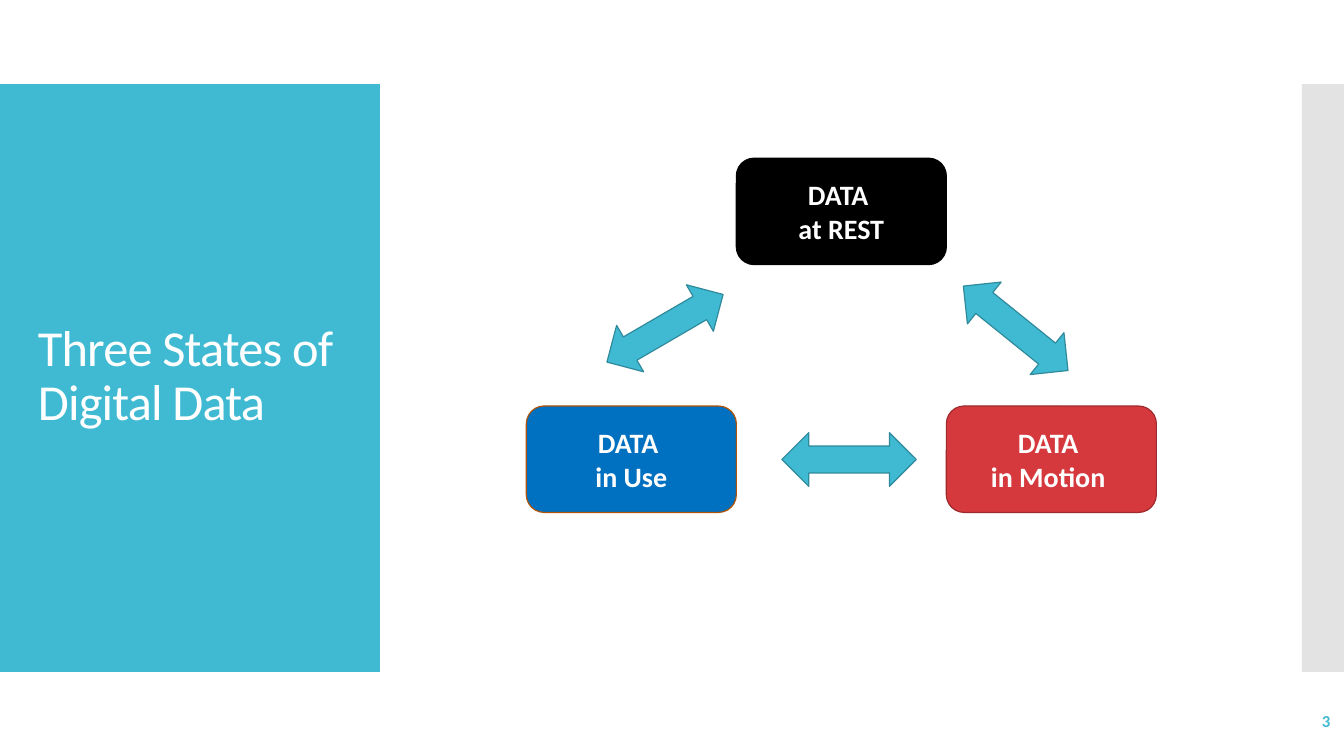
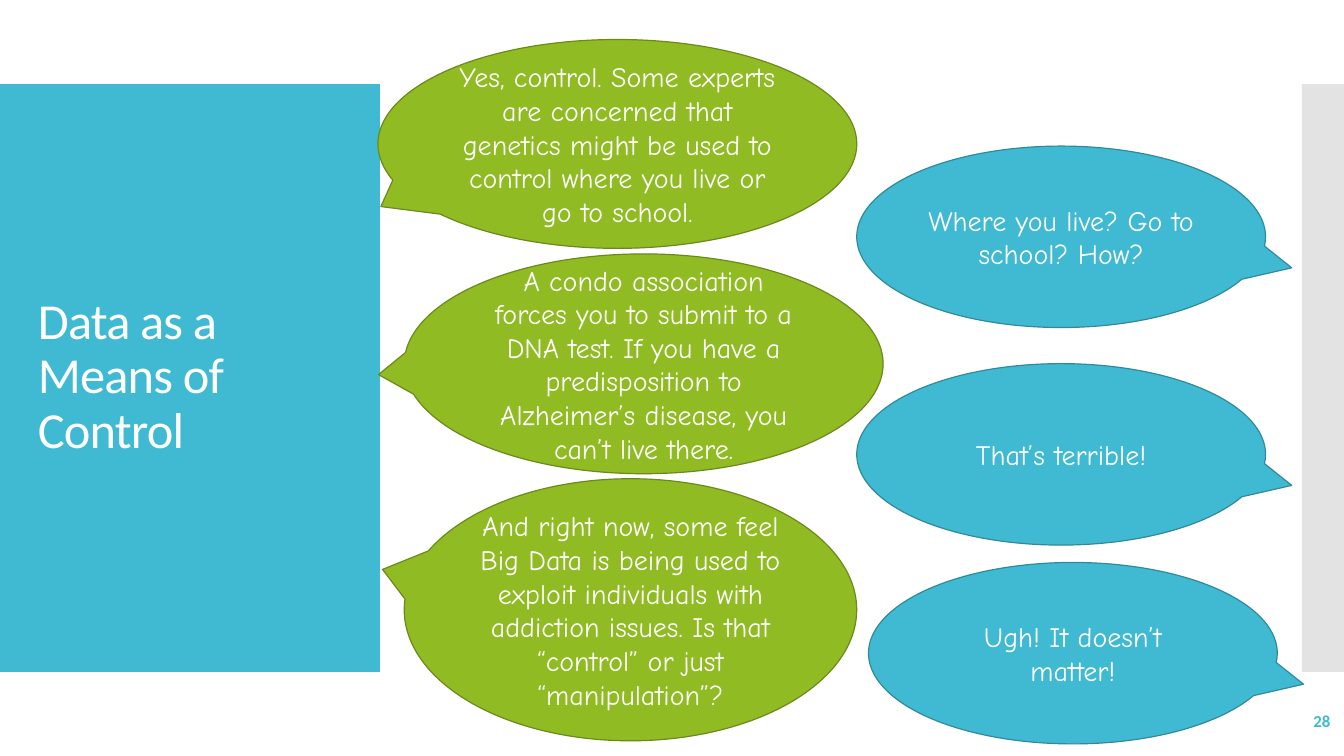
"""Build two slides on the states of digital data and on data as control."""
from pptx import Presentation
from pptx.dml.color import RGBColor
from pptx.enum.shapes import MSO_SHAPE
from pptx.enum.text import MSO_ANCHOR, PP_ALIGN
from pptx.util import Pt

WHITE = RGBColor(0xFF, 0xFF, 0xFF)
BLACK = RGBColor(0x00, 0x00, 0x00)
GREY = RGBColor(0xE3, 0xE3, 0xE3)
TEAL = RGBColor(0x40, 0xBA, 0xD2)
DARK_TEAL = RGBColor(0x2F, 0x8A, 0x9B)
GREEN = RGBColor(0x90, 0xBB, 0x23)
DARK_GREEN = RGBColor(0x6B, 0x8A, 0x1A)
RED = RGBColor(0xD5, 0x39, 0x3D)
DARK_RED = RGBColor(0x9E, 0x2A, 0x2D)
BLUE = RGBColor(0x00, 0x70, 0xC0)
BROWN = RGBColor(0xB0, 0x53, 0x06)


class Deck:
    """Hold the shared style and the current slide."""

    body_font = "Calibri"
    speech_font = "Comic Neue"
    width, height = 960, 540
    band_top, band_height = 60, 420

    def __init__(self):
        self.presentation = Presentation()
        self.presentation.slide_width = Pt(self.width)
        self.presentation.slide_height = Pt(self.height)
        self.slide = None

    def start_slide(self, title, number):
        """Add a slide with its bands, title and number."""
        layout = self.presentation.slide_layouts[6]
        self.slide = self.presentation.slides.add_slide(layout)
        for left, width, color in ((0, 271.4, TEAL), (930, 30, GREY)):
            self.add_shape(MSO_SHAPE.RECTANGLE,
                           (left, self.band_top, width, self.band_height), color)
        title_box = self.add_text((20, 88.5, 232, 362), title, 36, WHITE)
        paragraph = title_box.text_frame.paragraphs[0]
        paragraph.line_spacing = 0.9
        paragraph.runs[0].font._element.set("spc", "-60")
        self.add_text((837.4, 500.4, 120, 28.8), str(number), 12, TEAL,
                      PP_ALIGN.RIGHT, bold=True)

    def set_text(self, shape, text, size, color, align, font, bold=False):
        """Fill a shape with text in one style."""
        frame = shape.text_frame
        frame.word_wrap = True
        frame.vertical_anchor = MSO_ANCHOR.MIDDLE
        frame.text = text
        for paragraph in frame.paragraphs:
            paragraph.alignment = align
            paragraph.font.name = font
            paragraph.font.size = Pt(size)
            paragraph.font.bold = bold
            paragraph.font.color.rgb = color

    def add_text(self, box, text, size, color, align=PP_ALIGN.LEFT, bold=False):
        """Add a text box."""
        shape = self.slide.shapes.add_textbox(*map(Pt, box))
        self.set_text(shape, text, size, color, align, self.body_font, bold)
        return shape

    def add_shape(self, kind, box, fill, line=None):
        """Add a flat preset shape."""
        shape = self.slide.shapes.add_shape(kind, *map(Pt, box))
        shape.shadow.inherit = False
        shape.fill.solid()
        shape.fill.fore_color.rgb = fill
        if line is None:
            shape.line.fill.background()
        else:
            shape.line.color.rgb = line
            shape.line.width = Pt(0.85)
        return shape

    def add_state(self, left, top, text, fill, line):
        """Add a rounded box that names a state of data."""
        shape = self.add_shape(MSO_SHAPE.FLOWCHART_ALTERNATE_PROCESS,
                               (left, top, 150, 76), fill, line)
        self.set_text(shape, text, 20, WHITE, PP_ALIGN.CENTER, self.body_font, True)

    def add_arrow(self, left, top, rotation):
        """Add a two-headed arrow between states."""
        shape = self.add_shape(MSO_SHAPE.LEFT_RIGHT_ARROW,
                               (left, top, 96, 38.4), TEAL, DARK_TEAL)
        shape.rotation = rotation

    def add_callout(self, box, tail, text, fill, line):
        """Add a speech bubble whose tail ends at the given offset."""
        shape = self.add_shape(MSO_SHAPE.OVAL_CALLOUT, box, fill, line)
        shape.adjustments[0], shape.adjustments[1] = tail
        self.set_text(shape, text, 20, WHITE, PP_ALIGN.CENTER, self.speech_font)

    def add_statement(self, box, tail, text):
        """Add a green bubble for the speaker on the left."""
        self.add_callout(box, tail, text, GREEN, DARK_GREEN)

    def add_reply(self, left, top, text):
        """Add a teal bubble for the speaker on the right."""
        self.add_callout((left, top, 292, 129.6), (0.564, 0.171), text,
                         TEAL, DARK_TEAL)


def main():
    deck = Deck()

    deck.start_slide("Three States of Digital Data", 3)
    deck.add_state(526, 113, "DATA \nat REST", BLACK, BLACK)
    deck.add_state(676, 290, "DATA \nin Motion ", RED, DARK_RED)
    deck.add_state(376, 290, "DATA \nin Use", BLUE, BROWN)
    for left, top, rotation in ((558.5, 309, 0), (427, 215.3, 329.8),
                                (677.5, 215.3, 38.9)):
        deck.add_arrow(left, top, rotation)

    deck.start_slide("Data as a Means of Control", 28)
    deck.add_statement(
        (270, 28.2, 342, 149.2), (-0.494, 0.3),
        "Yes, control. Some experts are concerned that genetics might be "
        "used to control where you live or go to school.")
    deck.add_reply(612, 104.4, "Where you live? Go to school? How?")
    deck.add_statement(
        (288.8, 181.4, 342, 157), (-0.554, 0.049),
        "A condo association forces you to submit to a DNA test. If you have "
        "a predisposition to Alzheimer’s disease, you can’t live there.")
    deck.add_reply(612, 259.8, "That’s terrible!")
    deck.add_statement(
        (288.8, 342, 323.2, 187.2), (-0.548, -0.154),
        "And right now, some feel Big Data is being used to exploit "
        "individuals with addiction issues. Is that “control” or just "
        "“manipulation”?")
    deck.add_reply(620.4, 401.8, "Ugh! It doesn’t matter!")

    deck.presentation.save("out.pptx")


if __name__ == "__main__":
    main()
